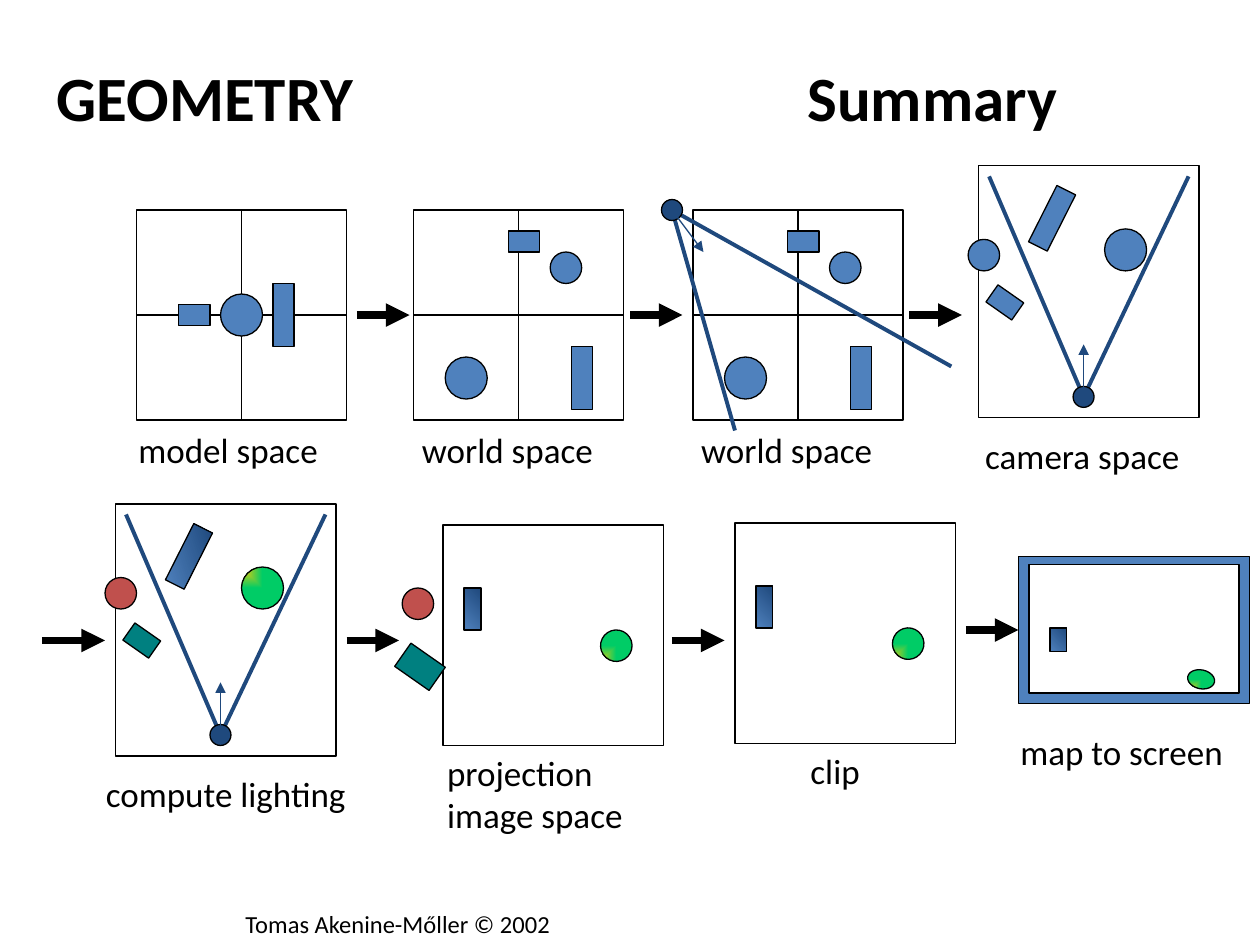
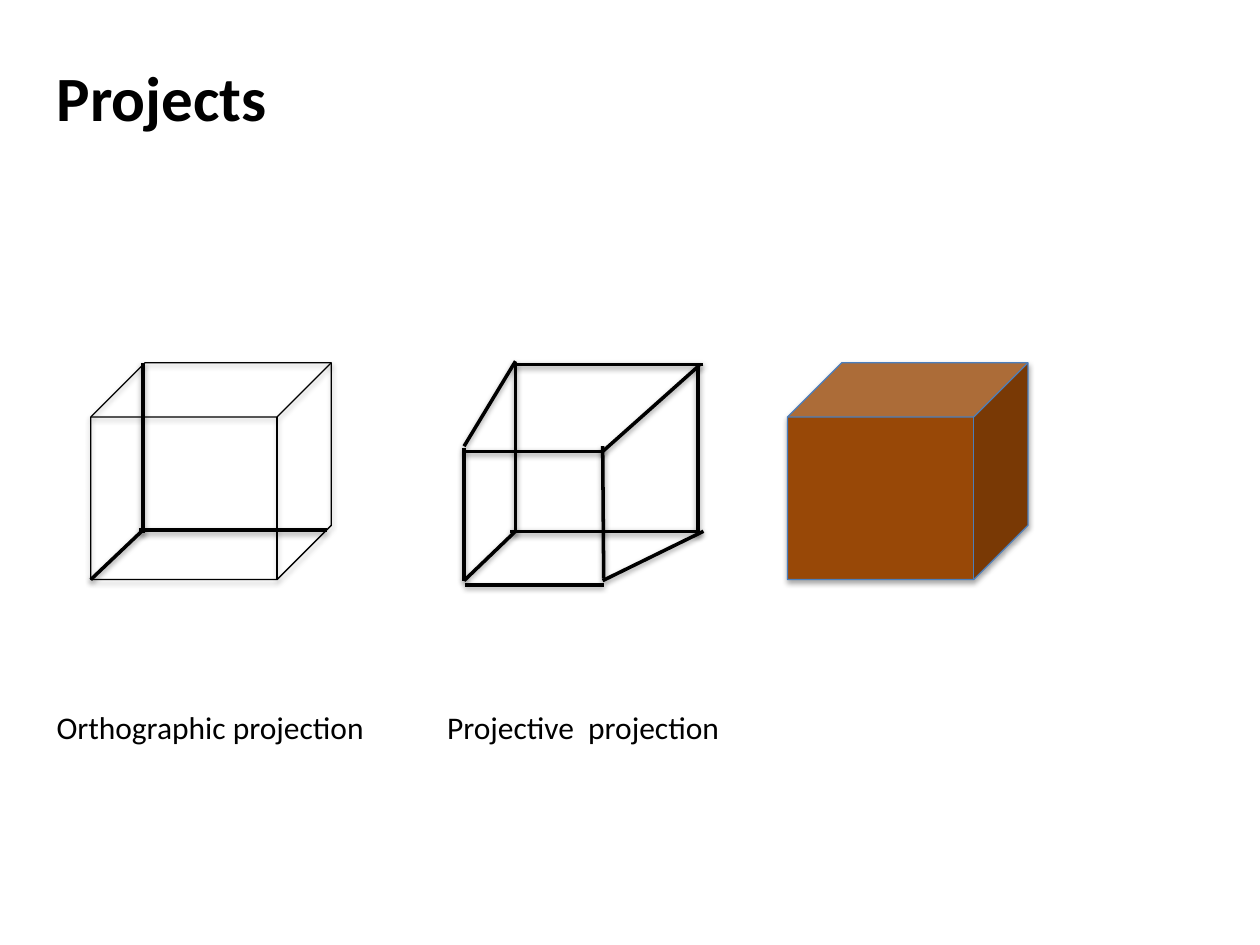
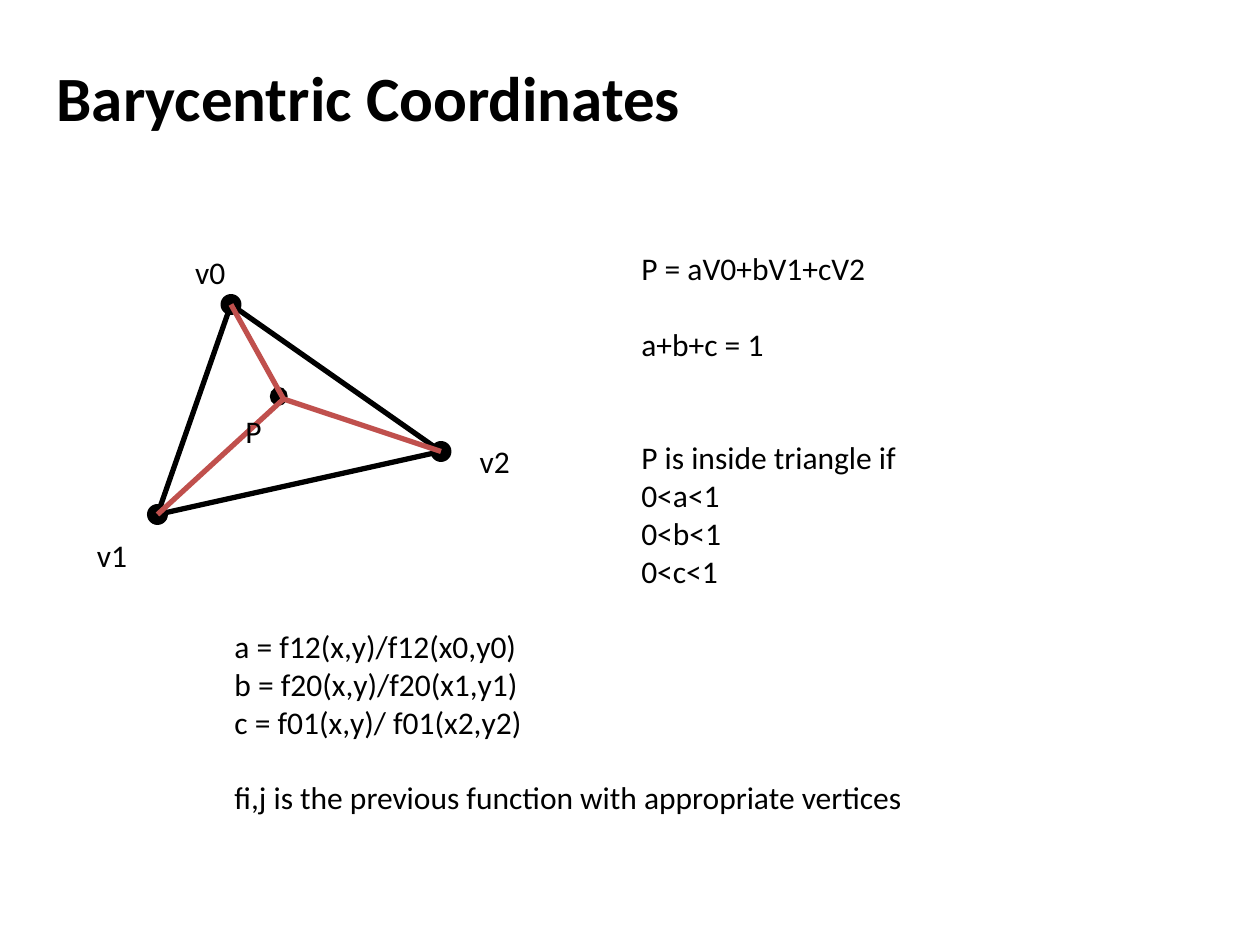
from itertools import combinations

from pptx import Presentation
from pptx import util as u
from pptx.dml.color import RGBColor
from pptx.enum import shapes, text
from pptx.oxml import parse_xml
from pptx.oxml.ns import nsdecls, qn

COLUMNS, ROWS = 120, 90
FONT = "Calibri"
BLACK, WHITE = "000000", "FFFFFF"
BLUE, NAVY, RED, TEAL, BROWN, EDGE = "4F81BD", "1F497D", "C0504D", "008080", "984807", "4B7EBC"
SLAB = (BLUE, NAVY, '<a:lin ang="18900000" scaled="1"/>')
GLOW = '<a:path path="rect"><a:fillToRect {}/></a:path>'
BALL = ("FFCC00", "00CC66", GLOW.format('r="100000" b="100000"'))
TURNED_BALL = ("FFCC00", "00CC66", GLOW.format('t="100000" r="100000"'))
RECT, OVAL, CUBE = (shapes.MSO_SHAPE.RECTANGLE, shapes.MSO_SHAPE.OVAL, shapes.MSO_SHAPE.CUBE)
LABEL_HEIGHT, SMALL_HEIGHT = 5.2, 4.85
BLANK_LINE = 21.6


def color(value):
    return RGBColor.from_string(value)


class Deck:
    def __init__(self):
        self.deck = Presentation()
        self.deck.slide_width, self.deck.slide_height = u.Inches(10), u.Inches(7.5)
        self.page = None

    def x(self, columns):
        return round(self.deck.slide_width * columns / COLUMNS)

    def y(self, rows):
        return round(self.deck.slide_height * rows / ROWS)

    def area(self, left, top, width, height):
        return self.x(left), self.y(top), self.x(width), self.y(height)

    def span(self, para, words, size, bold=False):
        span = para.add_run()
        span.text = words
        span.font.name, span.font.size, span.font.bold = FONT, u.Pt(size), bold
        span.font.color.rgb = color(BLACK)

    def add_page(self, title, tab=None):
        self.page = self.deck.slides.add_slide(self.deck.slide_layouts[5])
        box = self.page.shapes.title
        box.left, box.top, box.width, box.height = self.area(4.2, 4.2, 108, 10)
        box.text_frame.vertical_anchor = text.MSO_ANCHOR.MIDDLE
        para = box.text_frame.paragraphs[0]
        para.alignment = text.PP_ALIGN.LEFT
        self.span(para, title, 36, True)
        if tab:
            stops = f'<a:tabLst {nsdecls("a")}><a:tab pos="{self.x(tab)}" algn="l"/></a:tabLst>'
            para._p.get_or_add_pPr().append(parse_xml(stops))

    def label(self, lines, left, top, width, height=LABEL_HEIGHT, size=20, gaps=None, middle=False):
        frame = self.page.shapes.add_textbox(*self.area(left, top, width, height)).text_frame
        frame.word_wrap = middle
        if middle:
            frame.vertical_anchor = text.MSO_ANCHOR.MIDDLE
        else:
            frame.auto_size = text.MSO_AUTO_SIZE.SHAPE_TO_FIT_TEXT
        for index, words in enumerate(lines):
            para = frame.add_paragraph() if index else frame.paragraphs[0]
            if gaps and index in gaps:
                para.space_before = u.Pt(gaps[index] * BLANK_LINE)
            self.span(para, words, size)

    def shape(self, kind, left, top, width, height, fill=None, line=BLACK, turn=0, shadow=False):
        shape = self.page.shapes.add_shape(kind, *self.area(left, top, width, height))
        shape.rotation = turn
        if isinstance(fill, str):
            shape.fill.solid()
            shape.fill.fore_color.rgb = color(fill)
        else:
            shape.fill.background()
        if fill and not isinstance(fill, str):
            self.gradient(shape, *fill)
        if line:
            shape.line.color.rgb = color(line)
            shape.line.width = u.Pt(0.75)
        else:
            shape.line.fill.background()
        if not shadow:
            shape.shadow.inherit = False

    def gradient(self, shape, first, last, direction):
        stops = "".join(f'<a:gs pos="{place}"><a:srgbClr val="{value}"/></a:gs>'
                        for place, value in ((0, first), (100000, last)))
        properties = shape._element.spPr
        properties.replace(properties.find(qn("a:noFill")), parse_xml(
            f'<a:gradFill {nsdecls("a")} rotWithShape="1"><a:gsLst>{stops}</a:gsLst>'
            f'{direction}</a:gradFill>'))

    def line(self, start, end, stroke=BLACK, width=0.75, arrow=False, shadow=False):
        line = self.page.shapes.add_connector(
            shapes.MSO_CONNECTOR.STRAIGHT,
            self.x(start[0]), self.y(start[1]), self.x(end[0]), self.y(end[1]))
        line.line.color.rgb = color(stroke)
        line.line.width = u.Pt(width)
        if arrow:
            line.line._get_or_add_ln().append(
                parse_xml(f'<a:tailEnd {nsdecls("a")} type="triangle"/>'))
        if not shadow:
            line._element.spPr.append(parse_xml(f'<a:effectLst {nsdecls("a")}/>'))

    def step(self, left, row, length=5):
        self.line((left, row), (left + length, row), width=4.5, arrow=True)

    def axes(self, left, top=20, side=20):
        middle = side / 2
        self.shape(RECT, left, top, side, side)
        self.line((left, top + middle), (left + side, top + middle))
        self.line((left + middle, top + side), (left + middle, top))

    def world(self, left):
        self.axes(left)
        self.shape(OVAL, left + 3, 34, 4, 4, BLUE)
        self.shape(RECT, left + 9, 22, 3, 2, BLUE)
        self.shape(RECT, left + 15, 33, 2, 6, BLUE)
        self.shape(OVAL, left + 13, 24, 3, 3, BLUE)
        self.label(["world space"], left - 0.4, 40.2, 20.15)

    def eye(self, point, look, sides):
        for side in sides:
            self.line(point, side, NAVY, 2.25)
        self.shape(OVAL, point[0] - 1, point[1] - 1, 2, 2, NAVY)
        self.line(point, look, NAVY, arrow=True)

    def camera(self, left, top, ball=BLUE, slab=BLUE, outside=BLUE, brick=BLUE):
        self.eye((left + 10, top + 22), (left + 10, top + 17),
                 [(left + 1, top + 1), (left + 20, top + 1)])
        self.shape(OVAL, left + 12, top + 6, 4, 4, ball)
        self.shape(RECT, left + 6, top + 2, 2, 6, slab, turn=26.8)
        self.shape(RECT, left, top, 21, 24)
        self.shape(OVAL, left - 1, top + 7, 3, 3, outside)
        self.shape(RECT, left + 1, top + 12, 3, 2, brick, turn=215)

    def view(self, left, top):
        self.shape(RECT, left, top, 21, 21)
        self.shape(OVAL, left + 15, top + 10, 3, 3, TURNED_BALL, turn=281.8)
        self.shape(RECT, left + 2, top + 6, 1.6, 4, SLAB)


def geometry(deck):
    deck.add_page("GEOMETRY\tSummary", tab=71.5)
    deck.label(["Tomas Akenine-Mőller © 2002"], 22.2, 86.9, 52.8, 2.2, 14, middle=True)

    deck.axes(13)
    deck.shape(OVAL, 21, 28, 4, 4, BLUE)
    deck.shape(RECT, 17, 29, 3, 2, BLUE)
    deck.shape(RECT, 26, 27, 2, 6, BLUE)
    deck.label(["model space"], 12, 40.2, 21.4)
    deck.world(39.4)
    deck.world(66)
    deck.eye((64, 20), (67, 24), [(70, 41), (90.6, 34.9)])
    deck.camera(93.2, 15.8)
    deck.label(["camera space"], 92.65, 40.8, 23.3)

    deck.camera(11, 48, BALL, SLAB, RED, TEAL)
    deck.label(["compute lighting"], 8.9, 73, 26.6)
    deck.view(42.2, 50)
    deck.shape(OVAL, 38.3, 56, 3, 3, RED)
    deck.shape(RECT, 38, 62.15, 4, 2.7, TEAL, turn=215)
    deck.label(["projection", "image space"], 41.4, 71, 21.4, 9.2)
    deck.view(70, 49.8)
    deck.label(["clip"], 76, 70.8, 7.45)
    deck.shape(RECT, 97, 53, 22, 14, BLUE)
    deck.shape(RECT, 98, 53.75, 20, 12.25, WHITE)
    deck.shape(OVAL, 113.5, 63.4, 1.8, 2.6, TURNED_BALL, turn=281.8)
    deck.shape(RECT, 100, 59.8, 1.6, 2.25, SLAB)
    deck.label(["map to screen"], 96, 69, 23.5)

    for left, row in ((34, 30), (60, 30), (86.6, 30), (33, 61), (64, 61), (92, 60)):
        deck.step(left, row)
    deck.step(4, 61, 6)


def projections(deck):
    deck.add_page("Projects")
    deck.shape(CUBE, 75, 34.55, 22.9, 20.65, BROWN, EDGE, shadow=True)
    deck.shape(CUBE, 8.65, 34.55, 22.9, 20.65, shadow=True)
    hidden_edges = [
        ((13.6, 34.6), (13.6, 50.8)), ((31.1, 50.5), (13.2, 50.5)), ((13.6, 50.5), (8.65, 55.2)),
    ]
    projective_edges = [
        ((49.1, 34.7), (49.1, 50.8)), ((66.6, 50.6), (48.6, 50.6)), ((49.1, 50.6), (44.2, 55.3)),
        ((44.2, 42.7), (44.2, 55.3)), ((66.5, 34.8), (66.5, 50.9)), ((57.5, 55.7), (44.3, 55.7)),
        ((57.5, 43), (44.2, 43)), ((67, 34.7), (49.1, 34.7)), ((67, 50.6), (57.4, 55.3)),
        ((49.1, 34.4), (44.2, 42.5)), ((66.6, 34.8), (57.4, 43)), ((57.4, 42.5), (57.5, 55.1)),
    ]
    for start, end in hidden_edges + projective_edges:
        deck.line(start, end, width=2, shadow=True)
    deck.label(["Orthographic projection"], 4.2, 66.85, 34, SMALL_HEIGHT, 18)
    deck.label(["Projective  projection"], 41.4, 66.85, 30.6, SMALL_HEIGHT, 18)


def barycentric(deck):
    deck.add_page("Barycentric Coordinates")
    vertices = [(22, 29), (15, 49), (42, 43)]
    inner = (27, 38)
    for start, end in combinations(vertices, 2):
        deck.line(start, end, width=3)
    for column, row in vertices:
        deck.shape(OVAL, column - 1, row - 1, 2, 2, BLACK, None)
    deck.shape(OVAL, 25.7, 36.85, 1.7, 1.8, BLACK, None)
    for vertex in vertices:
        deck.line(vertex, inner, RED, 3)
    for name, left, top, width in (("P", 22.2, 38.65, 4.45), ("v0", 17.4, 23.5, 5.75),
                                   ("v1", 8.05, 50.5, 5.75), ("v2", 44.5, 41.5, 5.75)):
        deck.label([name], left, top, width, SMALL_HEIGHT, 18)
    deck.label(["P = aV0+bV1+cV2", "a+b+c = 1", "P is inside triangle if",
                "0<a<1", "0<b<1", "0<c<1"],
               59.9, 23.15, 29.5, 37.55, 18, gaps={1: 1, 2: 2})
    deck.label(["a = f12(x,y)/f12(x0,y0)", "b = f20(x,y)/f20(x1,y1)", "c = f01(x,y)/ f01(x2,y2)",
                "fi,j is the previous function with appropriate vertices"],
               21.15, 59.15, 70.3, 19.45, 18, gaps={3: 1})


def main():
    deck = Deck()
    geometry(deck)
    projections(deck)
    barycentric(deck)
    deck.deck.save("out.pptx")


if __name__ == "__main__":
    main()
